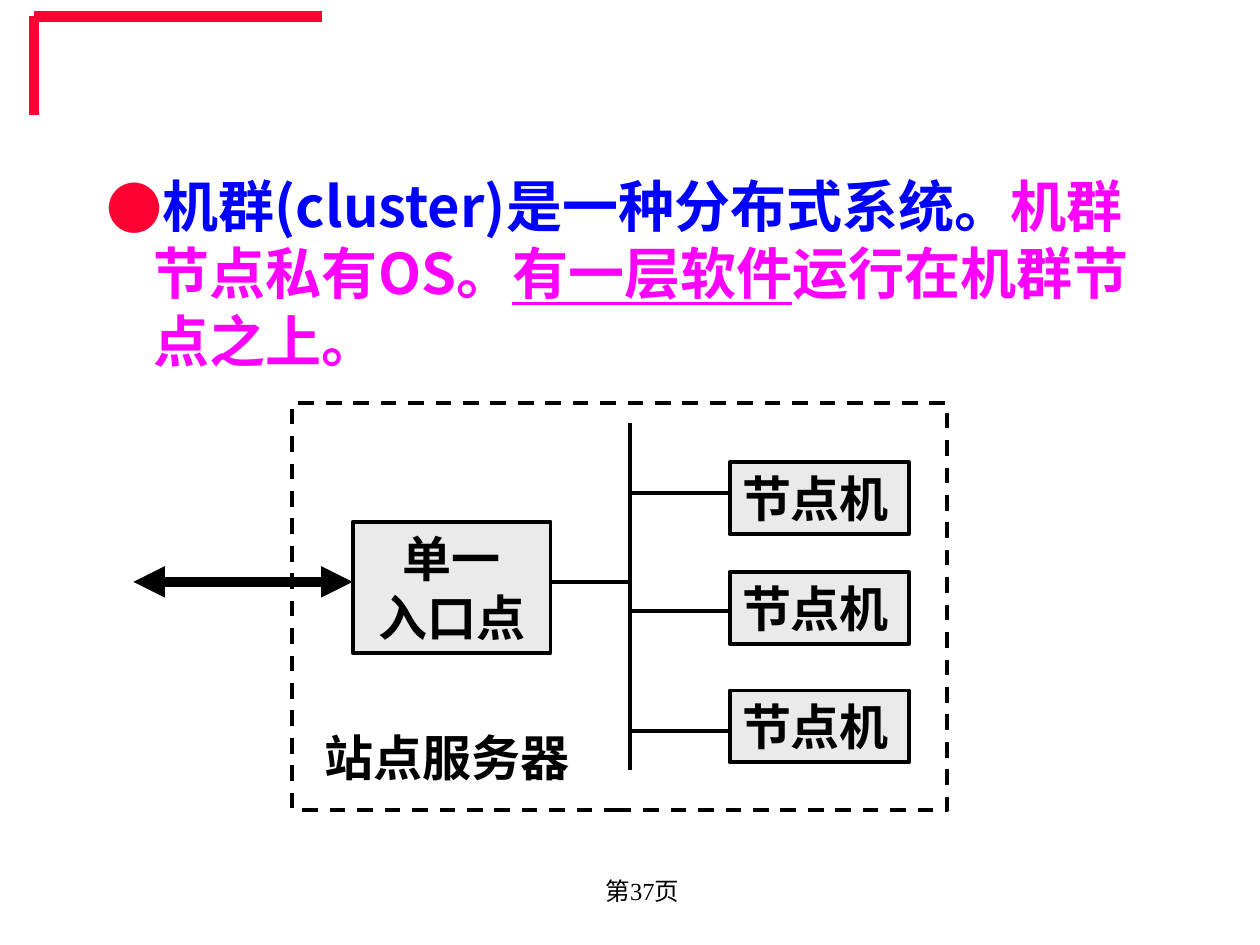
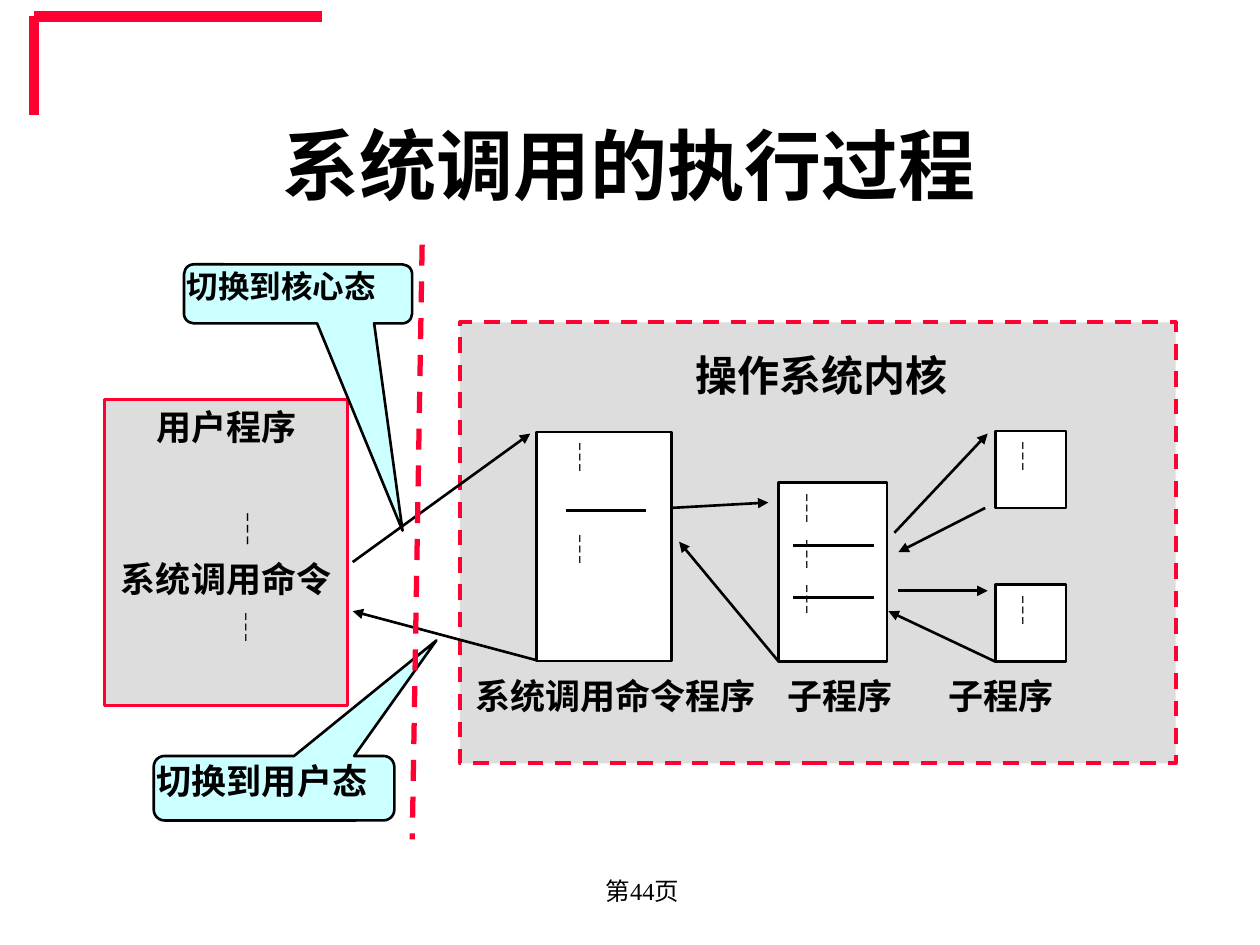
from itertools import zip_longest
from lxml.etree import SubElement
from pptx import Presentation
from pptx.dml.color import RGBColor
from pptx.enum.dml import MSO_LINE
from pptx.enum.shapes import MSO_CONNECTOR, MSO_SHAPE
from pptx.enum.text import MSO_ANCHOR, PP_ALIGN
from pptx.oxml.ns import qn
from pptx.util import Cm, Pt

RED = RGBColor(0xFF, 0x00, 0x33)
BLACK = RGBColor(0x00, 0x00, 0x00)
WHITE = RGBColor(0xFF, 0xFF, 0xFF)
BLUE = RGBColor(0x00, 0x00, 0xFF)
PINK = RGBColor(0xFF, 0x00, 0xFF)
PALE = RGBColor(0xEA, 0xEA, 0xEA)
GREY = RGBColor(0xDD, 0xDD, 0xDD)
CYAN = RGBColor(0xCC, 0xFF, 0xFF)

SANS = "Noto Sans CJK SC"
SERIF = "Times New Roman"
PAD = (0.25, 0.13)
DOTS = "┆"


def cms(*nums):
    return [Cm(num) for num in nums]


def style(run, size, color, bold, font, under=None):
    face = run.font
    face.size, face.bold, face.name = Pt(size), bold, font
    face.color.rgb = color
    face.underline = under
    SubElement(run._r.get_or_add_rPr(), qn("a:ea"), typeface=SANS)


def write(shape, *rows, size=18, color=BLACK, bold=True, font=SERIF,
          align=PP_ALIGN.LEFT, anchor=MSO_ANCHOR.TOP, pad=PAD,
          gaps=(), shifts=()):
    frame = shape.text_frame
    frame.word_wrap = True
    frame.vertical_anchor = anchor
    frame.margin_left, frame.margin_top = cms(*pad)
    frame.margin_right, frame.margin_bottom = cms(*pad)
    for num, (row, gap, shift) in enumerate(zip_longest(rows, gaps, shifts)):
        para = frame.add_paragraph() if num else frame.paragraphs[0]
        para.alignment = align
        if gap:
            para.space_before = Pt(gap)
        if shift:
            para._p.get_or_add_pPr().set("marL", str(Pt(shift)))
        for text, extra in [(row, {})] if isinstance(row, str) else row:
            run = para.add_run()
            run.text = text
            look = dict(size=size, color=color, bold=bold, font=font)
            style(run, **{**look, **extra})
    return frame


def label(slide, spot, *rows, **look):
    return write(slide.shapes.add_textbox(*cms(*spot)), *rows, **look)


def box(slide, spot, fill=None, edge=BLACK, width=1.5, dash=False,
        kind=MSO_SHAPE.RECTANGLE):
    shape = slide.shapes.add_shape(kind, *cms(*spot))
    shape.shadow.inherit = False
    if fill is None:
        shape.fill.background()
    else:
        shape.fill.solid()
        shape.fill.fore_color.rgb = fill
    if edge is None:
        shape.line.fill.background()
    else:
        stroke(shape.line, edge, width, dash)
    return shape


def stroke(line, color, width, dash):
    line.color.rgb = color
    line.width = Pt(width)
    if dash:
        line.dash_style = MSO_LINE.DASH


def link(slide, ends, color=BLACK, width=1.5, dash=False, tips=()):
    wire = slide.shapes.add_connector(MSO_CONNECTOR.STRAIGHT, *cms(*ends))
    stroke(wire.line, color, width, dash)
    for tip in tips:
        SubElement(wire.line._get_or_add_ln(), qn(f"a:{tip}"), type="triangle")
    SubElement(wire._element.spPr, qn("a:effectLst"))


def bubble(slide, spot, text, size, point):
    shape = box(slide, spot, CYAN, kind=MSO_SHAPE.ROUNDED_RECTANGULAR_CALLOUT)
    for num, value in enumerate((*point, 0.167)):
        shape.adjustments[num] = value
    write(shape, text, size=size, pad=(0, 0))


def bullet(para):
    props = para._p.get_or_add_pPr()
    props.set("marL", str(Cm(0.95)))
    props.set("indent", str(Cm(-0.95)))
    tint = SubElement(props, qn("a:buClr"))
    SubElement(tint, qn("a:srgbClr"), val=str(RED))
    SubElement(props, qn("a:buFont"), typeface=SANS)
    SubElement(props, qn("a:buChar"), char="●")


def tabs(para, *stops):
    row = SubElement(para._p.get_or_add_pPr(), qn("a:tabLst"))
    for stop in stops:
        SubElement(row, qn("a:tab"), pos=str(Cm(stop)), algn="l")


def start(deck, layout, page):
    slide = deck.slides.add_slide(deck.slide_layouts[layout])
    for end in ((6.5, 0.33), (0.69, 2.31)):
        link(slide, (0.69, 0.33, *end), RED, 6)
    label(slide, (10.31, 17.32, 5.28, 1.27), f"第{page}页", size=14, bold=False,
          align=PP_ALIGN.CENTER, anchor=MSO_ANCHOR.MIDDLE)
    return slide


def cluster(deck):
    slide = start(deck, 6, 37)
    pink = {"color": PINK}
    frame = label(slide, (1.9, 3.33, 21.59, 4.62), [
        ("机群(cluster)是一种分布式系统。", {"color": BLUE}),
        ("机群节点私有OS。", pink),
        ("有一层软件", {**pink, "under": True}),
        ("运行在机群节点之上。", pink)], size=32, font=SANS)
    bullet(frame.paragraphs[0])

    big = dict(size=28, font=SANS)
    entry = box(slide, (7.11, 10.52, 3.99, 2.64), PALE, width=2.25)
    write(entry, "单一", "入口点", align=PP_ALIGN.CENTER, **big)
    for top, tap in ((9.32, 9.93), (11.53, 12.32), (13.92, 14.73)):
        node = box(slide, (14.71, top, 3.61, 1.45), PALE, width=2.25)
        write(node, "节点机", **big)
        link(slide, (12.7, tap, 14.71, tap), width=2.25)
    link(slide, (12.7, 8.53, 12.7, 15.52), width=2.25)
    link(slide, (11.1, 11.73, 12.7, 11.73), width=2.25)
    link(slide, (2.69, 11.73, 7.11, 11.73), width=6, tips=("headEnd", "tailEnd"))
    box(slide, (5.89, 8.13, 13.21, 8.2), width=2.25, dash=True)
    label(slide, (6.3, 14.53, 5.99, 1.45), "站点服务器", **big)


def calls(deck):
    slide = start(deck, 5, 44)
    title = slide.shapes.title
    title.left, title.top, title.width, title.height = cms(1.9, 1.7, 21.59, 3.18)
    write(title, "系统调用的执行过程", size=44, align=PP_ALIGN.CENTER,
          anchor=MSO_ANCHOR.MIDDLE)

    box(slide, (9.27, 6.5, 14.43, 8.89), GREY, RED, 2.25, dash=True)
    user = box(slide, (2.11, 8.05, 4.9, 6.17), GREY, RED)
    mark = {"font": SANS}
    write(user, "用户程序", [(DOTS, mark)], "系统调用命令",
          [(DOTS, {**mark, "size": 18})], size=20, align=PP_ALIGN.CENTER,
          pad=(0, 0.13), gaps=(0, 34, 5, 4.5), shifts=(0, 25, 0, 23))

    for spot, count, gap, shift in (
            ((10.82, 8.71, 2.72, 4.62), 2, 30.5, 9),
            ((15.7, 9.73, 2.18, 3.61), 3, 4.5, 0),
            ((20.07, 8.69, 1.42, 1.55), 1, 0, 0),
            ((20.07, 11.79, 1.42, 1.55), 1, 0, 0)):
        write(box(slide, spot, WHITE), *[DOTS] * count, font=SANS,
              gaps=[0] + [gap] * (count - 1), shifts=[shift] * count)
    for left, top in ((11.4, 10.29), (15.98, 11), (15.98, 12.04)):
        link(slide, (left, top, left + 1.63, top))

    for ends in ((10.82, 13.31, 7.11, 12.32), (7.11, 11.33, 10.69, 8.74),
                 (18.03, 10.74, 19.91, 8.74), (19.86, 10.24, 18.11, 11.13),
                 (18.11, 11.91, 19.91, 11.91), (20.07, 13.34, 17.91, 12.32),
                 (13.51, 10.24, 15.49, 10.13), (15.7, 13.34, 13.69, 10.92)):
        link(slide, ends, tips=("tailEnd",))

    head = box(slide, (9.5, 7.01, 14.12, 1.55), GREY, None)
    write(head, "操作系统内核", size=24, align=PP_ALIGN.CENTER, pad=(0.05, 0.03))
    foot = box(slide, (9.53, 13.56, 12.42, 1.3), GREY, None)
    frame = write(foot, "系统调用命令程序\t子程序\t子程序", size=20,
                  pad=(0.05, 0.03))
    tabs(frame.paragraphs[0], 6.3, 9.55)

    bubble(slide, (3.1, 15.24, 4.85, 1.3), "切换到用户态", 20, (0.675, -2.292))
    bubble(slide, (3.71, 5.33, 4.6, 1.19), "切换到核心态", 18, (0.458, 4.011))
    link(slide, (8.51, 4.93, 8.31, 16.92), RED, 3, dash=True)


def main():
    deck = Presentation()
    deck.slide_width, deck.slide_height = cms(25.4, 19.05)
    cluster(deck)
    calls(deck)
    deck.save("out.pptx")


if __name__ == "__main__":
    main()
